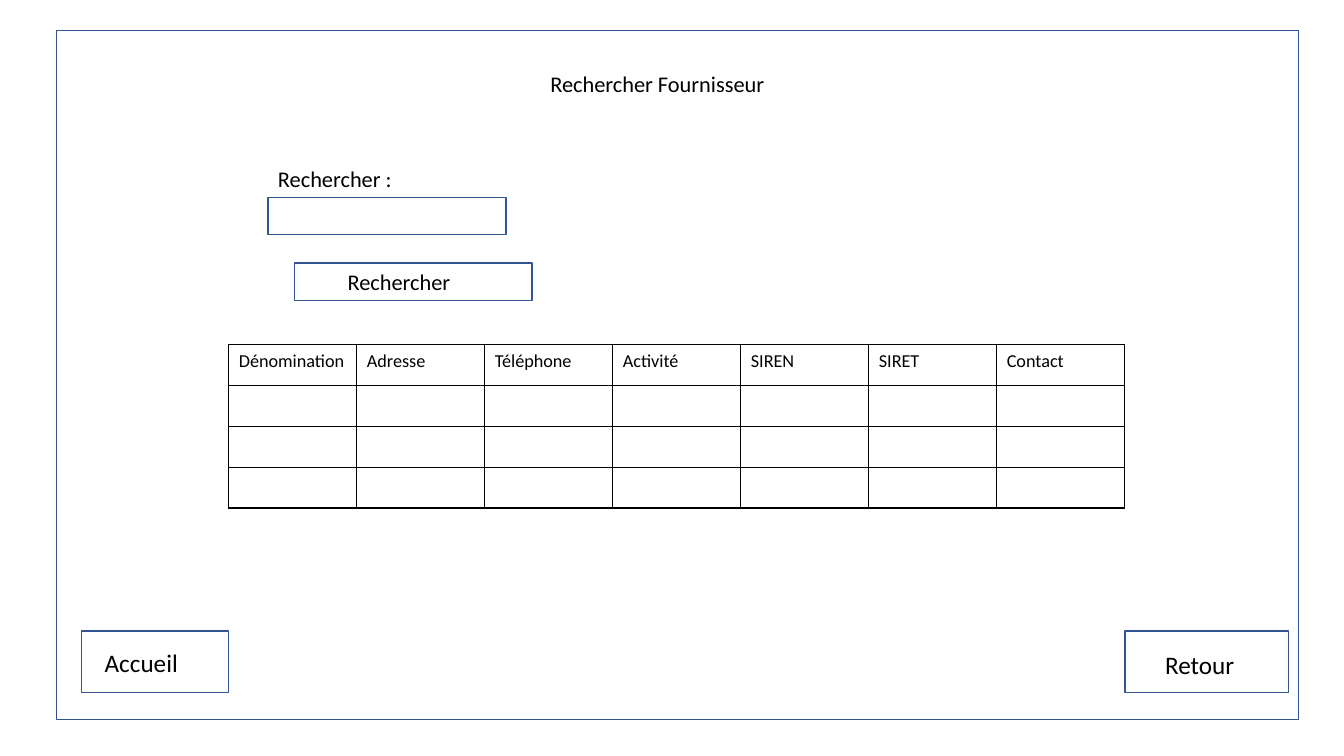
"""Build the supplier search screen mock-up slide."""
from lxml.etree import SubElement
from pptx import Presentation
from pptx.dml.color import RGBColor
from pptx.enum.shapes import MSO_SHAPE
from pptx.enum.text import MSO_ANCHOR, MSO_AUTO_SIZE, PP_ALIGN
from pptx.oxml.ns import qn
from pptx.util import Inches, Pt

COLORS = {"outline": "325491", "text": "000000", "grid": "000000"}
FONT = "Calibri"
COL_W, ROW_H = 1.27, 0.405
TABLE_X, TABLE_Y = 2.27, 3.42
HEADERS = ["Dénomination", "Adresse", "Téléphone", "Activité", "SIREN", "SIRET", "Contact"]
N_ROWS = 4


def add_text(p, text, size):
    p.alignment = PP_ALIGN.LEFT
    p.line_spacing = 1.0
    r = p.add_run()
    r.text = text
    r.font.name = FONT
    r.font.size = Pt(size)
    r.font.bold = False
    r.font.color.rgb = RGBColor.from_string(COLORS["text"])


prs = Presentation()
prs.slide_width, prs.slide_height = Inches(13.333), Inches(7.5)
s = prs.slides.add_slide(prs.slide_layouts[5])

title = s.shapes.title
title.left, title.top, title.width, title.height = map(Inches, (5.36, 0.65, 2.63, 0.37))
tf = title.text_frame
tf.auto_size = MSO_AUTO_SIZE.NONE
tf.vertical_anchor = MSO_ANCHOR.TOP
add_text(tf.paragraphs[0], "Rechercher Fournisseur", 16)

table_right = TABLE_X + COL_W * len(HEADERS)
boxes = [
    (0.56, 0.3, 12.32, 6.84),
    (2.66, 1.96, 2.36, 0.37),
    (2.92, 2.61, 2.36, 0.37),
    (0.81, 6.26, TABLE_X - 0.81, 0.61),
    (table_right, 6.26, 1.62, 0.61),
]
for box in boxes:
    sp = s.shapes.add_shape(MSO_SHAPE.RECTANGLE, *map(Inches, box))
    sp.shadow.inherit = False
    sp.fill.background()
    sp.line.color.rgb = RGBColor.from_string(COLORS["outline"])
    sp.line.width = Pt(1)

labels = [
    ("Rechercher :", 16, (2.66, 1.59, 2.63, 0.37)),
    ("Rechercher", 16, (3.35, 2.61, 1.24, 0.37)),
    ("Accueil", 18, (0.94, 6.37, 1.46, 0.4)),
    ("Retour", 18, (11.46, 6.39, 1.06, 0.4)),
]
for text, size, box in labels:
    tf = s.shapes.add_textbox(*map(Inches, box)).text_frame
    tf.word_wrap = True
    tf.auto_size = MSO_AUTO_SIZE.SHAPE_TO_FIT_TEXT
    add_text(tf.paragraphs[0], text, size)

tbl = s.shapes.add_table(
    N_ROWS, len(HEADERS), Inches(TABLE_X), Inches(TABLE_Y),
    Inches(COL_W * len(HEADERS)), Inches(ROW_H * N_ROWS),
).table
tbl.first_row = tbl.horz_banding = False
for col in tbl.columns:
    col.width = Inches(COL_W)
for row in tbl.rows:
    row.height = Inches(ROW_H)
for cell in tbl.iter_cells():
    tcPr = cell._tc.get_or_add_tcPr()
    for side in ("a:lnL", "a:lnR", "a:lnT", "a:lnB"):
        ln = SubElement(tcPr, qn(side), w=str(Pt(1)))
        fill = SubElement(ln, qn("a:solidFill"))
        SubElement(fill, qn("a:srgbClr"), val=COLORS["grid"])
    cell.fill.background()
for c, header in enumerate(HEADERS):
    add_text(tbl.cell(0, c).text_frame.paragraphs[0], header, 13)

prs.save("out.pptx")
